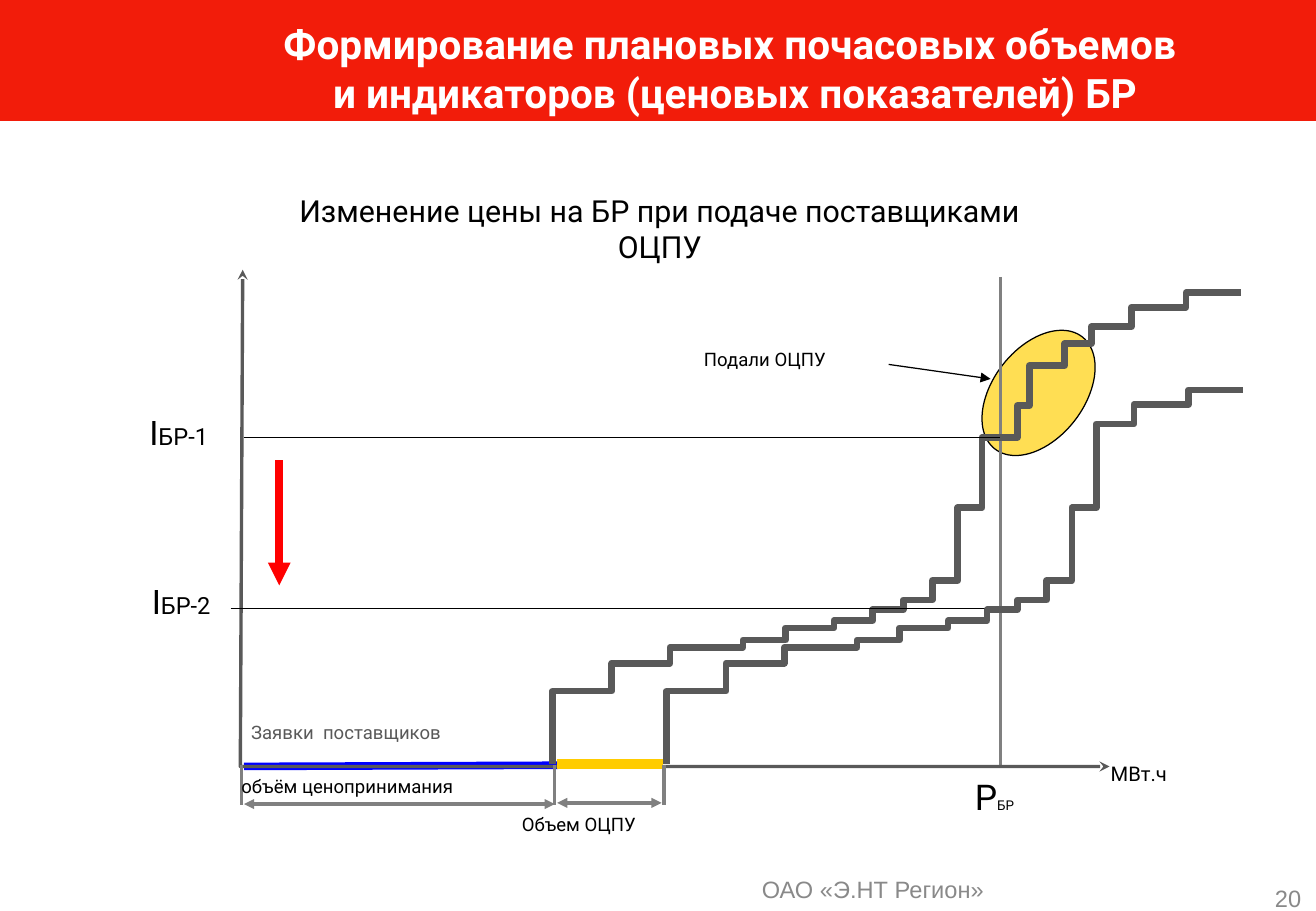
from dataclasses import dataclass

from lxml import etree
from pptx import Presentation
from pptx.dml.color import RGBColor
from pptx.enum.shapes import MSO_CONNECTOR, MSO_SHAPE
from pptx.enum.text import MSO_ANCHOR, MSO_AUTO_SIZE, PP_ALIGN
from pptx.oxml.ns import qn
from pptx.util import Inches, Pt

STRAIGHT = MSO_CONNECTOR.STRAIGHT
RECT, ELLIPSE = MSO_SHAPE.RECTANGLE, MSO_SHAPE.OVAL
TOP, MIDDLE = MSO_ANCHOR.TOP, MSO_ANCHOR.MIDDLE
LEFT, CENTER, RIGHT = PP_ALIGN.LEFT, PP_ALIGN.CENTER, PP_ALIGN.RIGHT
FIT, NO_FIT = MSO_AUTO_SIZE.SHAPE_TO_FIT_TEXT, MSO_AUTO_SIZE.NONE


@dataclass(frozen=True)
class Theme:
    font: str = "Roboto"
    footer_font: str = "Arial"
    band: str = "F21C0A"
    white: str = "FFFFFF"
    black: str = "000000"
    curve: str = "595959"
    guide: str = "808080"
    footer: str = "898989"
    highlight: str = "FFDE53"
    price_taking: str = "0000FF"
    ocpu: str = "FFCC00"
    drop: str = "FF0000"
    title_size: int = 24
    subtitle_size: int = 18
    index_size: int = 20
    sub_size: int = 14
    power_size: int = 21
    power_sub_size: int = 8
    unit_size: int = 12
    label_size: int = 11


T = Theme()
W, H = 10.84, 7.5

SHARED_STEPS = [(3.04, 0.62), (3.52, 0.85), (4.12, 0.98), (4.47, 1.04), (4.87, 1.14),
                (5.19, 1.2), (5.44, 1.29), (5.68, 1.37), (5.89, 1.53), (6.09, 2.13)]
OCPU_STEPS = [(6.38, 2.71), (6.48, 2.97), (6.77, 3.3), (6.99, 3.48)]
TAIL_STEPS = [(7.32, 3.62), (7.77, 3.78), (8.22, 3.9)]
BIDS_START, OCPU_START = 2.55, 3.49


def rgb(value):
    return RGBColor.from_string(value)


def fill_text(tf, text, size=T.label_size, color=T.black, font=T.font, bold=False,
              align=LEFT, anchor=TOP, inset=(0.1, 0.05), wrap=False, fit=FIT,
              spacing=None, sub=None, sub_size=T.sub_size):
    tf.word_wrap, tf.auto_size, tf.vertical_anchor = wrap, fit, anchor
    tf.margin_left = tf.margin_right = Inches(inset[0])
    tf.margin_top = tf.margin_bottom = Inches(inset[1])
    tf.text = text
    p = tf.paragraphs[0]
    p.alignment, p.line_spacing = align, spacing
    if sub:
        p.add_run().text = sub
    for i, r in enumerate(p.runs):
        r.font.name, r.font.bold = font, bold
        r.font.size = Pt(sub_size if sub and i else size)
        r.font.color.rgb = rgb(color)


def add_text(s, box, text, **fmt):
    tb = s.shapes.add_textbox(*map(Inches, box))
    fill_text(tb.text_frame, text, **fmt)


def style_line(shape, color, width, head=None, tail=None):
    shape.line.color.rgb = rgb(color)
    shape.line.width = Pt(width)
    ln = shape.line._get_or_add_ln()
    etree.SubElement(ln, qn("a:round"))
    for tag, kind in (("a:headEnd", head), ("a:tailEnd", tail)):
        if kind:
            etree.SubElement(ln, qn(tag), type=kind)


def add_line(s, start, end, color, width, head=None, tail=None):
    c = s.shapes.add_connector(STRAIGHT, *map(Inches, start + end))
    style_line(c, color, width, head, tail)
    etree.SubElement(c.element.spPr, qn("a:effectLst"))


def add_path(s, points, color, width, head=None, tail=None):
    pts = [(Inches(x), Inches(y)) for x, y in points]
    fb = s.shapes.build_freeform(*pts[0])
    fb.add_line_segments(pts[1:], close=False)
    sp = fb.convert_to_shape()
    sp.shadow.inherit = False
    sp.fill.background()
    style_line(sp, color, width, head, tail)


def add_filled(s, kind, box, fill, line):
    sp = s.shapes.add_shape(kind, *map(Inches, box))
    sp.shadow.inherit = False
    sp.fill.solid()
    sp.fill.fore_color.rgb = rgb(fill)
    style_line(sp, line, 0.75)
    return sp


def staircase(x, steps):
    points = [(x, 0.02)]
    for end, level in steps:
        points += [(x, level), (end, level)]
        x = end
    return points


def header(s, x, y, w, h):
    title = s.shapes.title
    band = add_filled(s, RECT, (x, y, w, h), T.band, T.band)
    title.element.addprevious(band.element)
    title.left, title.top = Inches(x + 1.56), Inches(y + 0.16)
    title.width, title.height = Inches(8.99), Inches(0.81)
    fill_text(title.text_frame,
              "Формирование плановых почасовых объемов \vи индикаторов (ценовых показателей) БР",
              size=T.title_size, color=T.white, bold=True, align=CENTER,
              inset=(0, 0), wrap=True, fit=NO_FIT)


def price_chart(s, ox, oy):
    def at(x, y):
        return round(ox + x, 2), round(oy - y, 2)

    def line(start, end, *style, **ends):
        add_line(s, at(*start), at(*end), *style, **ends)

    def path(points, *style, **ends):
        add_path(s, [at(*pt) for pt in points], *style, **ends)

    def label(x, y, w, h, text, **fmt):
        add_text(s, at(x, y) + (w, h), text, **fmt)

    oval = add_filled(s, ELLIPSE, at(5.97, 3.45) + (1.17, 0.75), T.highlight, T.black)
    oval.rotation = 308
    line((2.6, 0.01), (0.01, 0), T.price_taking, 4.5)
    line((6.24, 4.03), (6.24, 0), T.guide, 2)
    path([(0, 4.09), (-0.02, 0), (7.14, 0)], T.curve, 2, head="stealth", tail="stealth")

    path(staircase(BIDS_START, SHARED_STEPS + OCPU_STEPS + TAIL_STEPS), T.curve, 4)
    for start, end, level in ((0.01, 6.24, 2.71), (-0.1, 6.28, 1.3)):
        line((start, level), (end, level), T.black, 0.75)
    line((2.59, 0.02), (3.46, 0.02), T.ocpu, 6)
    shift = OCPU_START - BIDS_START
    shifted = [(x + shift, y) for x, y in SHARED_STEPS]
    lowered = [(x + 0.02, y - 0.8) for x, y in TAIL_STEPS]
    path(staircase(OCPU_START, shifted + lowered), T.curve, 4)

    for x in (-0.01, 2.57, 3.47):
        line((x, 0.01), (x, -0.32), T.guide, 2)
    for start, end, y in ((0.01, 2.57, -0.31), (2.59, 3.45, -0.3)):
        line((start, y), (end, y), T.guide, 2, head="triangle", tail="triangle")
    line((5.32, 3.31), (6.16, 3.19), T.black, 0.75, tail="triangle")
    line((0.3, 2.52), (0.3, 1.49), T.drop, 4.5, tail="triangle")

    label(-0.03, 0.42, 1.82, 0.29, "Заявки  поставщиков", color=T.curve)
    label(-0.11, -0.06, 2.07, 0.25, "объём ценопринимания", spacing=0.8)
    label(2.2, -0.37, 1.2, 0.25, "Объем ОЦПУ", spacing=0.8)
    label(3.7, 3.46, 1.25, 0.25, "Подали ОЦПУ", spacing=0.8)
    label(7.05, 0.09, 0.68, 0.3, "МВт.ч", size=T.unit_size)
    for x, y, sub in ((-0.77, 2.92, "БР-1"), (-0.75, 1.53, "БР-2")):
        label(x, y, 0.51, 0.33, "I", sub=sub, size=T.index_size, inset=(0, 0))
    label(6.03, -0.07, 0.38, 0.35, "P", sub="БР", size=T.power_size,
          sub_size=T.power_sub_size, inset=(0, 0), wrap=True)


def footer(s, x, y):
    fmt = dict(size=T.sub_size, color=T.footer, font=T.footer_font, anchor=MIDDLE,
               inset=(0.12, 0.06), wrap=True, fit=NO_FIT)
    add_text(s, (x, y, 6.7, 0.36), "ОАО «Э.НТ Регион»", align=CENTER, **fmt)
    add_text(s, (x + 6.54, y + 0.15, 0.46, 0.21), "20", align=RIGHT, **fmt)


def main():
    prs = Presentation()
    prs.slide_width, prs.slide_height = Inches(W), Inches(H)
    s = prs.slides.add_slide(prs.slide_layouts[5])
    header(s, 0, 0, W, 0.99)
    add_text(s, (2.27, 1.56, 6.33, 0.64), "Изменение цены на БР при подаче поставщиками ОЦПУ",
             size=T.subtitle_size, align=CENTER, anchor=MIDDLE, wrap=True, fit=NO_FIT)
    price_chart(s, 2, 6.31)
    footer(s, 3.84, 7.14)
    prs.save("out.pptx")


if __name__ == "__main__":
    main()
